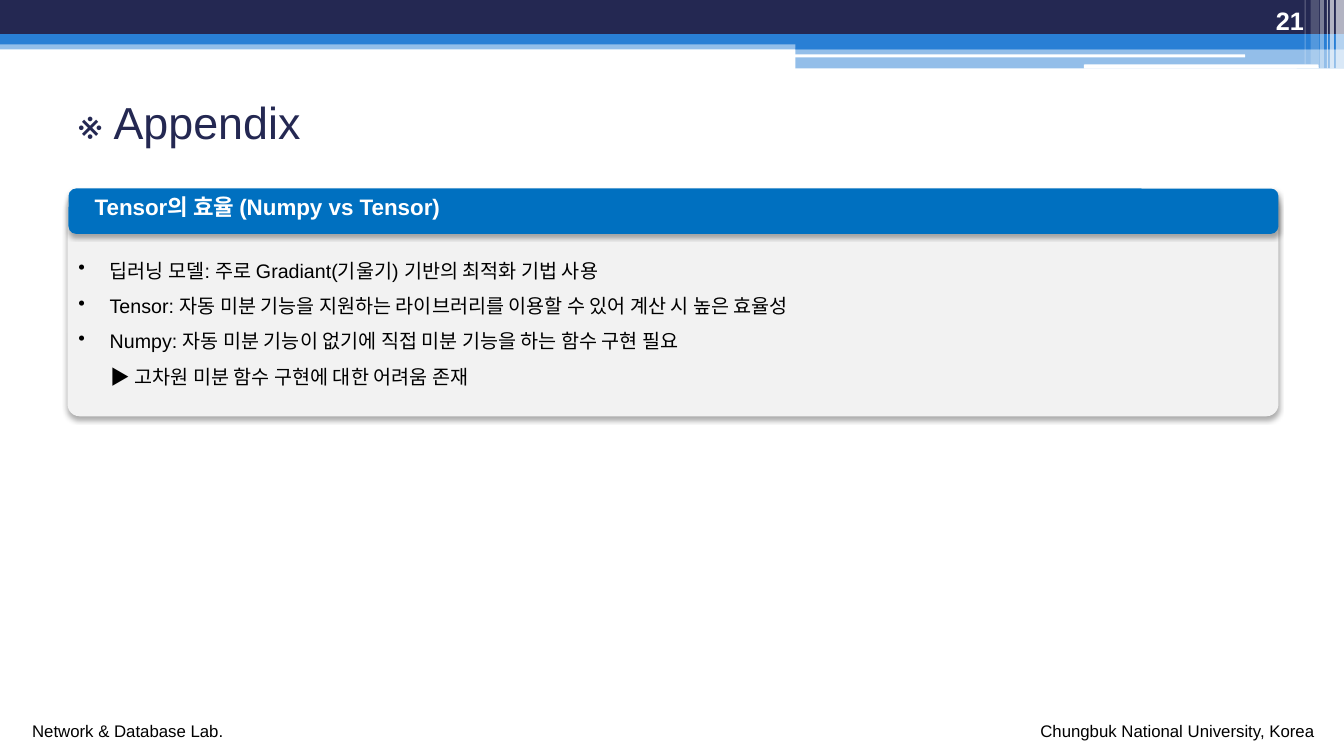
from dataclasses import dataclass

from lxml import etree
from pptx import Presentation
from pptx import util as u
from pptx.dml.color import RGBColor
from pptx.enum import shapes, text
from pptx.oxml import ns


@dataclass(frozen=True)
class Theme:
    font: str = "Arial"
    navy: str = "242852"
    blue: str = "297FD5"
    header: str = "0070C0"
    panel: str = "F2F2F2"
    white: str = "FFFFFF"
    black: str = "000000"
    title_size: int = 32
    number_size: int = 18
    header_size: int = 16
    body_size: int = 14
    footer_size: int = 12


THEME = Theme()
RECTANGLE = shapes.MSO_SHAPE.RECTANGLE
ROUNDED = shapes.MSO_SHAPE.ROUNDED_RECTANGLE

BANDS = [
    (0, 0.4, 13.33, 0.09, THEME.blue, 50),
    (0, 0, 13.33, 0.34, THEME.navy, 100),
    (0, 0.34, 13.33, 0.1, THEME.blue, 100),
    (7.89, 0.39, 5.44, 0.1, THEME.blue, 100),
    (7.89, 0.48, 5.44, 0.2, THEME.blue, 50),
]
WHITE_LINES = [(7.88, 0.54, 4.47, 0.03), (10.75, 0.64, 2.33, 0.04)]
STRIPES = [
    (13.25, 0.08, 0.68, 65),
    (13.19, 0.04, 0.68, 65),
    (13.16, 0.01, 0.68, 60),
    (13.09, 0.04, 0.68, 40),
    (13, 0.08, 0.64, 20),
    (12.94, 0.01, 0.64, 30),
]
BULLETS = [
    "딥러닝 모델: 주로 Gradiant(기울기) 기반의 최적화 기법 사용",
    "Tensor: 자동 미분 기능을 지원하는 라이브러리를 이용할 수 있어 계산 시 높은 효율성",
    "Numpy: 자동 미분 기능이 없기에 직접 미분 기능을 하는 함수 구현 필요",
]
CONCLUSION = "▶ 고차원 미분 함수 구현에 대한 어려움 존재"


def add_block(slide, kind, left, top, width, height, color, opacity=100):
    shape = slide.shapes.add_shape(
        kind, u.Inches(left), u.Inches(top), u.Inches(width), u.Inches(height))
    shape.shadow.inherit = False
    shape.line.fill.background()
    shape.fill.solid()
    shape.fill.fore_color.rgb = RGBColor.from_string(color)
    if opacity < 100:
        color_node = shape.fill._xPr.find(".//" + ns.qn("a:srgbClr"))
        etree.SubElement(color_node, ns.qn("a:alpha"), val=str(opacity * 1000))
    return shape


def add_drop_shadow(shape):
    effects = shape._element.spPr.find(ns.qn("a:effectLst"))
    shadow = etree.SubElement(
        effects, ns.qn("a:outerShdw"), blurRad=str(u.Pt(3.5)),
        dist=str(u.Pt(2.2)), dir="5400000", algn="t", rotWithShape="0")
    color_node = etree.SubElement(shadow, ns.qn("a:srgbClr"), val=THEME.black)
    etree.SubElement(color_node, ns.qn("a:alpha"), val="32000")


def style_paragraph(paragraph, size, color, bold=False):
    paragraph.font.name = THEME.font
    paragraph.font.size = u.Pt(size)
    paragraph.font.bold = bold
    paragraph.font.color.rgb = RGBColor.from_string(color)


def add_text(slide, left, top, width, height, lines, size, color, bold=False,
             wrap=True, anchor=text.MSO_ANCHOR.TOP, align=text.PP_ALIGN.LEFT):
    box = slide.shapes.add_textbox(
        u.Inches(left), u.Inches(top), u.Inches(width), u.Inches(height))
    frame = box.text_frame
    frame.word_wrap = wrap
    frame.vertical_anchor = anchor
    frame.text = "\n".join(lines)
    for paragraph in frame.paragraphs:
        paragraph.alignment = align
        style_paragraph(paragraph, size, color, bold)
    return frame.paragraphs


def indent(paragraph, margin, bullet=None):
    properties = paragraph._p.get_or_add_pPr()
    properties.set("marL", str(u.Inches(margin)))
    if bullet:
        properties.set("indent", str(-u.Inches(margin)))
        mark = etree.Element(ns.qn("a:buChar"), char=bullet)
        properties.find(ns.qn("a:defRPr")).addprevious(mark)


def add_banner(slide):
    for left, top, width, height, color, opacity in BANDS:
        add_block(slide, RECTANGLE, left, top, width, height, color, opacity)
    for bounds in WHITE_LINES:
        add_block(slide, ROUNDED, *bounds, THEME.white)
    for left, width, height, opacity in STRIPES:
        add_block(slide, RECTANGLE, left, 0, width, height, THEME.white, opacity)


def add_footer(slide):
    for left, width, line in [(0.22, 2.11, "Network & Database Lab."),
                              (10.22, 2.94, "Chungbuk National University, Korea")]:
        add_text(slide, left, 7.1, width, 0.3, [line],
                 THEME.footer_size, THEME.black, wrap=False)


def add_panel(slide):
    panel = add_block(slide, ROUNDED, 0.67, 1.93, 12.01, 2.2, THEME.panel)
    panel.adjustments[0] = 0.054
    header = add_block(slide, ROUNDED, 0.68, 1.87, 12, 0.45, THEME.header)
    for shape in (panel, header):
        add_drop_shadow(shape)
    add_text(slide, 0.84, 1.87, 9.59, 0.37, ["Tensor의 효율 (Numpy vs Tensor)"],
             THEME.header_size, THEME.white, bold=True)
    *points, conclusion = add_text(
        slide, 0.68, 2.4, 12.06, 1.47, BULLETS + [CONCLUSION],
        THEME.body_size, THEME.black)
    for paragraph in (*points, conclusion):
        paragraph.line_spacing = 1.5
    for paragraph in points:
        indent(paragraph, 0.31, "•")
    indent(conclusion, 0.32)


def main():
    presentation = Presentation()
    presentation.slide_width = u.Inches(13.33)
    presentation.slide_height = u.Inches(7.5)
    slide = presentation.slides.add_slide(presentation.slide_layouts[6])
    add_banner(slide)
    add_footer(slide)
    add_text(slide, 0.67, 0.62, 12, 1.17, ["※ Appendix"], THEME.title_size,
             THEME.navy, anchor=text.MSO_ANCHOR.MIDDLE)
    add_text(slide, 11.92, 0, 1.11, 0.4, ["21"], THEME.number_size, THEME.white,
             bold=True, anchor=text.MSO_ANCHOR.BOTTOM, align=text.PP_ALIGN.RIGHT)
    add_panel(slide)
    presentation.save("out.pptx")


if __name__ == "__main__":
    main()
